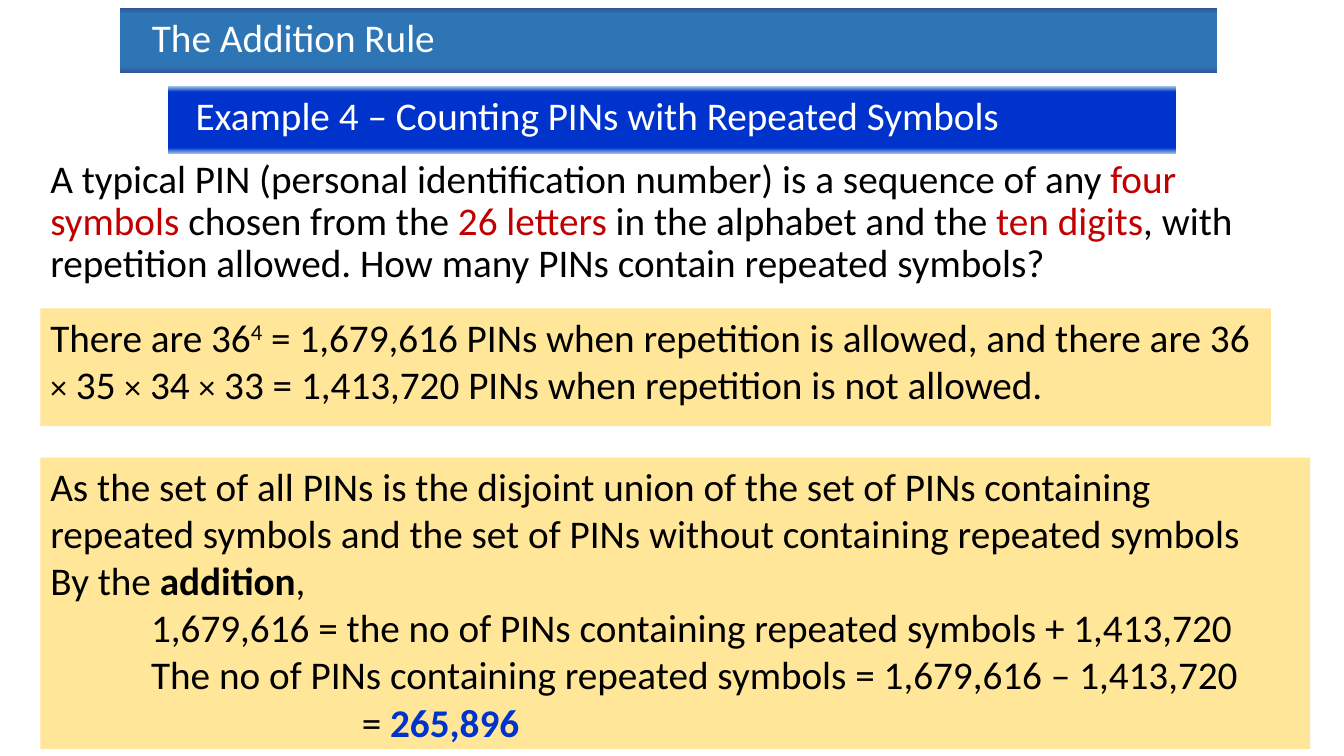
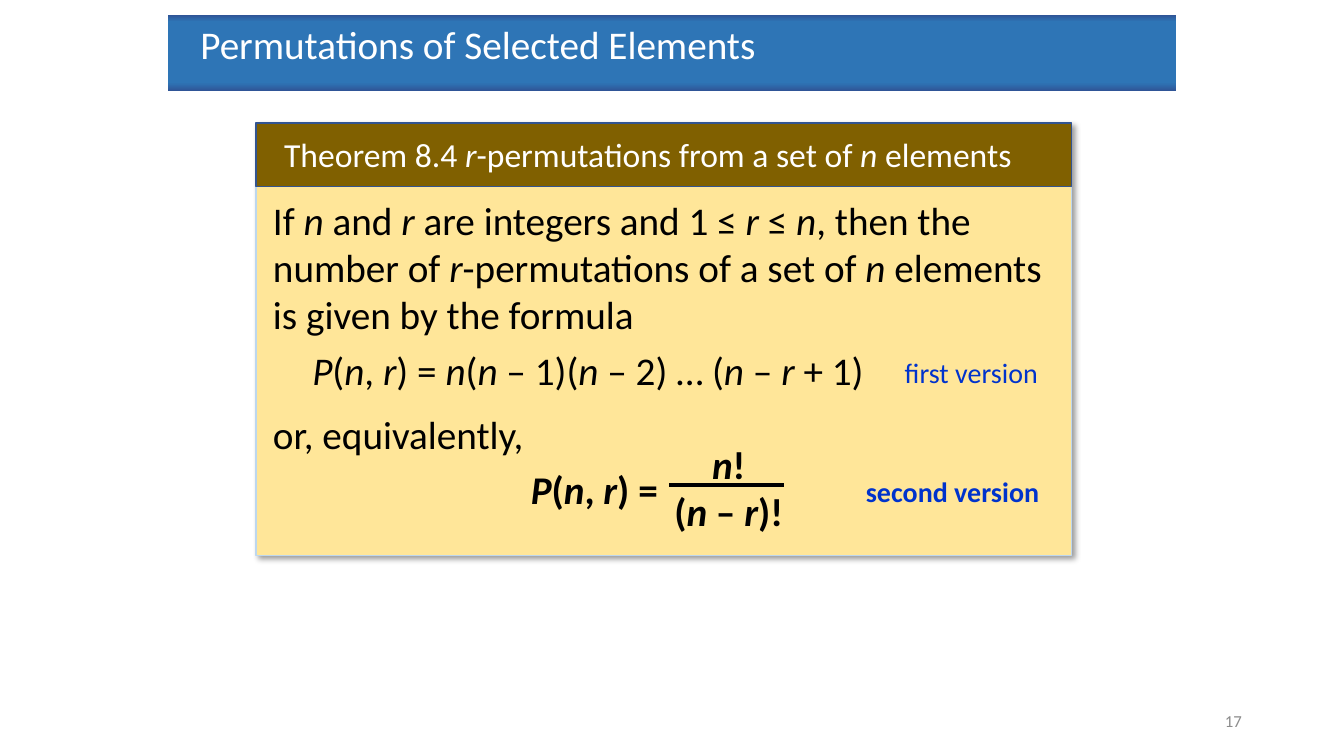
from dataclasses import dataclass, replace
from typing import Optional

from lxml import etree
from pptx import Presentation
from pptx.dml.color import RGBColor
from pptx.enum import shapes, text
from pptx.oxml import ns
from pptx.util import Cm, Pt

FONT = "Calibri"
BLACK = RGBColor(0x00, 0x00, 0x00)
WHITE = RGBColor(0xFF, 0xFF, 0xFF)
GREY = RGBColor(0x8C, 0x8C, 0x8C)
RED = RGBColor(0xC0, 0x00, 0x00)
BLUE = RGBColor(0x00, 0x33, 0xCC)
PALE_BLUE = RGBColor(0x9D, 0xC3, 0xE6)
BAND_BLUE = RGBColor(0x2E, 0x75, 0xB6)
BAND_EDGE = RGBColor(0x2F, 0x55, 0x97)
CREAM = RGBColor(0xFF, 0xE6, 0x99)
BROWN = RGBColor(0x80, 0x60, 0x00)
PANEL_LINE = RGBColor(0xBD, 0xD7, 0xEE)
HEADER_LINE = RGBColor(0x32, 0x54, 0x91)

TITLE_STOPS = [(0, BAND_EDGE), (11, BAND_BLUE), (91, BAND_BLUE), (100, BAND_EDGE)]
EXAMPLE_STOPS = [(0, PALE_BLUE), (9, BLUE), (92, BLUE), (100, PALE_BLUE)]


@dataclass(frozen=True)
class Box:
    """Left, top, width and height in centimetres."""
    left: float
    top: float
    width: float
    height: float

    def lengths(self) -> list:
        return [Cm(v) for v in (self.left, self.top, self.width, self.height)]


@dataclass(frozen=True)
class Style:
    size: int = 28
    color: RGBColor = BLACK
    bold: bool = False
    italic: bool = False
    superscript: bool = False


@dataclass(frozen=True)
class Run:
    text: str
    style: Style = Style()


@dataclass(frozen=True)
class Para:
    """The indent is in centimetres, spacing in points."""
    runs: list
    indent: float = 0
    before: float = 0
    after: float = 0
    line: Optional[float] = None
    align: text.PP_ALIGN = text.PP_ALIGN.LEFT


PLAIN = Style()
BOLD = Style(bold=True)
VERSION = Style(size=20, color=BLUE)


def marked(content: str, base: Style, mark: Style) -> list:
    """Split at asterisks; every second piece takes the mark style."""
    pieces = content.split("*")
    return [Run(piece, mark if i % 2 else base) for i, piece in enumerate(pieces) if piece]


def formula(content: str, base: Style = PLAIN) -> list:
    """Text whose variables, between asterisks, are italic."""
    return marked(content, base, replace(base, italic=True))


def write(sp, paras: list, anchor=text.MSO_ANCHOR.TOP) -> None:
    tf = sp.text_frame
    tf.word_wrap = True
    tf.vertical_anchor = anchor
    for i, para in enumerate(paras):
        p = tf.add_paragraph() if i else tf.paragraphs[0]
        p.alignment = para.align
        p.space_before, p.space_after = Pt(para.before), Pt(para.after)
        if para.line:
            p.line_spacing = para.line
        pPr = p._p.get_or_add_pPr()
        pPr.set("marL", str(Cm(para.indent)))
        pPr.set("indent", "0")
        for run in para.runs:
            r = p.add_run()
            r.text = run.text
            r.font.name, r.font.size = FONT, Pt(run.style.size)
            r.font.bold, r.font.italic = run.style.bold, run.style.italic
            r.font.color.rgb = run.style.color
            if run.style.superscript:
                r._r.get_or_add_rPr().set("baseline", "30000")


def add_text(parent, box: Box, paras: list, anchor=text.MSO_ANCHOR.TOP) -> None:
    write(parent.add_textbox(*box.lengths()), paras, anchor)


def add_rect(parent, box: Box, fill: Optional[RGBColor] = None,
             line: Optional[RGBColor] = None):
    sp = parent.add_shape(shapes.MSO_SHAPE.RECTANGLE, *box.lengths())
    sp.shadow.inherit = False
    if fill is not None:
        sp.fill.solid()
        sp.fill.fore_color.rgb = fill
    if line is None:
        sp.line.fill.background()
    else:
        sp.line.color.rgb = line
        sp.line.width = Pt(1)
    return sp


def add_band(parent, box: Box, title: str, stops: list, indent: float) -> None:
    """Heading band with a vertical gradient."""
    sp = add_rect(parent, box)
    sp.fill.gradient()
    sp.fill.gradient_angle = 90
    gs_list = sp._element.spPr.find(".//" + ns.qn("a:gsLst"))
    for gs in list(gs_list):
        gs_list.remove(gs)
    for percent, color in stops:
        gs = etree.SubElement(gs_list, ns.qn("a:gs"), pos=str(percent * 1000))
        etree.SubElement(gs, ns.qn("a:srgbClr"), val=str(color))
    write(sp, [Para([Run(title, Style(color=WHITE))], indent=indent)])


def add_title(parent, box: Box, title: str) -> None:
    add_band(parent, box, title, TITLE_STOPS, indent=0.56)


def add_page_number(parent, number: int) -> None:
    add_text(parent, Box(23.93, 17.65, 7.62, 1.02),
             [Para([Run(str(number), Style(size=12, color=GREY))],
                   align=text.PP_ALIGN.RIGHT)], text.MSO_ANCHOR.MIDDLE)


def cast_shadow(sp) -> None:
    effects = sp._element.spPr.find(ns.qn("a:effectLst"))
    shadow = etree.SubElement(effects, ns.qn("a:outerShdw"), blurRad=str(Pt(4)),
                              dist=str(Pt(3)), dir="2700000", algn="tl", rotWithShape="0")
    color = etree.SubElement(shadow, ns.qn("a:srgbClr"), val=str(BLACK))
    etree.SubElement(color, ns.qn("a:alpha"), val="40000")


def build_pin_slide(s) -> None:
    add_text(s.shapes, Box(1.02, 3.89, 30.53, 3.4), [Para(marked(
        "A typical PIN (personal identification number) is a sequence of any *four symbols *"
        "chosen from the *26 letters* in the alphabet and the *ten digits*, with repetition "
        "allowed. How many PINs contain repeated symbols?",
        PLAIN, Style(color=RED)), before=10, line=0.9)])
    add_band(s.shapes, Box(4.24, 2.18, 25.4, 1.7),
             "Example 4 – Counting PINs with Repeated Symbols", EXAMPLE_STOPS, indent=0.44)

    counts = add_rect(s.shapes, Box(1.02, 7.77, 31.01, 2.97), CREAM)
    write(counts, [Para([
        Run("There are 36"), Run("4", Style(superscript=True)),
        *marked(" = 1,679,616 PINs when repetition is allowed, and there are 36 "
                "*×* 35 *×* 34 *×* 33 = 1,413,720 PINs when repetition is not allowed.",
                PLAIN, Style(size=24))])])

    solution = add_rect(s.shapes, Box(1.02, 11.53, 32, 7.34), CREAM)
    write(solution, [
        Para([Run("As the set of all PINs is the disjoint union of the set of PINs containing "
                  "repeated symbols and the set of PINs without containing repeated symbols")]),
        Para(marked("By the *addition*,", PLAIN, BOLD)),
        Para([Run("1,679,616 = the no of PINs containing repeated symbols + 1,413,720")],
             indent=2.54),
        Para([Run("The no of PINs containing repeated symbols = 1,679,616 – 1,413,720")],
             indent=2.54),
        Para(marked("= *265,896*", PLAIN, Style(color=BLUE, bold=True)), indent=7.85),
    ])
    add_title(s.shapes, Box(3.02, 0.2, 27.66, 1.65), "The Addition Rule")


def build_permutation_slide(s) -> None:
    add_title(s.shapes, Box(4.24, 0.38, 25.4, 1.91), "Permutations of Selected Elements")
    add_page_number(s.shapes, 17)

    theorem = s.shapes.add_group_shape().shapes
    cast_shadow(add_rect(theorem, Box(6.45, 3.1, 20.55, 10.9), CREAM, PANEL_LINE))
    add_rect(theorem, Box(6.45, 3.1, 20.55, 1.6), BROWN, HEADER_LINE)
    add_text(theorem, Box(6.91, 3.25, 20.27, 1.27), [Para(formula(
        "Theorem 8.4 *r*-permutations from a set of *n* elements",
        Style(size=24, color=WHITE)))])
    add_text(theorem, Box(6.63, 4.83, 20.12, 8.28), [
        Para(formula("If *n* and *r* are integers and 1 ≤ *r* ≤ *n*, then the number of "
                     "*r*-permutations of a set of *n* elements is given by the formula"),
             after=6),
        Para(formula("*P*(*n*, *r*) = *n*(*n* – 1)(*n* – 2) … (*n* – *r* + 1)"), indent=0.99),
        Para([Run("or, equivalently,")], before=12, after=6),
        Para(formula("*P*(*n*, *r*) =", BOLD), indent=6.5, after=6),
    ])
    add_text(theorem, Box(22.55, 8.84, 4.3, 1.02), [Para([Run("first version", VERSION)])])
    add_text(theorem, Box(21.57, 11.84, 5.3, 1.02),
             [Para([Run("second version", replace(VERSION, bold=True))])])
    add_text(theorem, Box(16.69, 10.97, 3.35, 2.64),
             [Para(formula(part, BOLD), align=text.PP_ALIGN.CENTER)
              for part in ("*n*!", "(*n* – *r*)!")])
    bar = theorem.add_connector(shapes.MSO_CONNECTOR.STRAIGHT,
                                Cm(16.87), Cm(12.22), Cm(19.76), Cm(12.22))
    bar.line.color.rgb = BLACK
    bar.line.width = Pt(2.25)
    etree.SubElement(bar._element.spPr, ns.qn("a:effectLst"))


def main() -> None:
    prs = Presentation()
    prs.slide_width, prs.slide_height = Cm(33.87), Cm(19.05)
    for build in (build_pin_slide, build_permutation_slide):
        build(prs.slides.add_slide(prs.slide_layouts[6]))
    prs.save("out.pptx")


if __name__ == "__main__":
    main()
